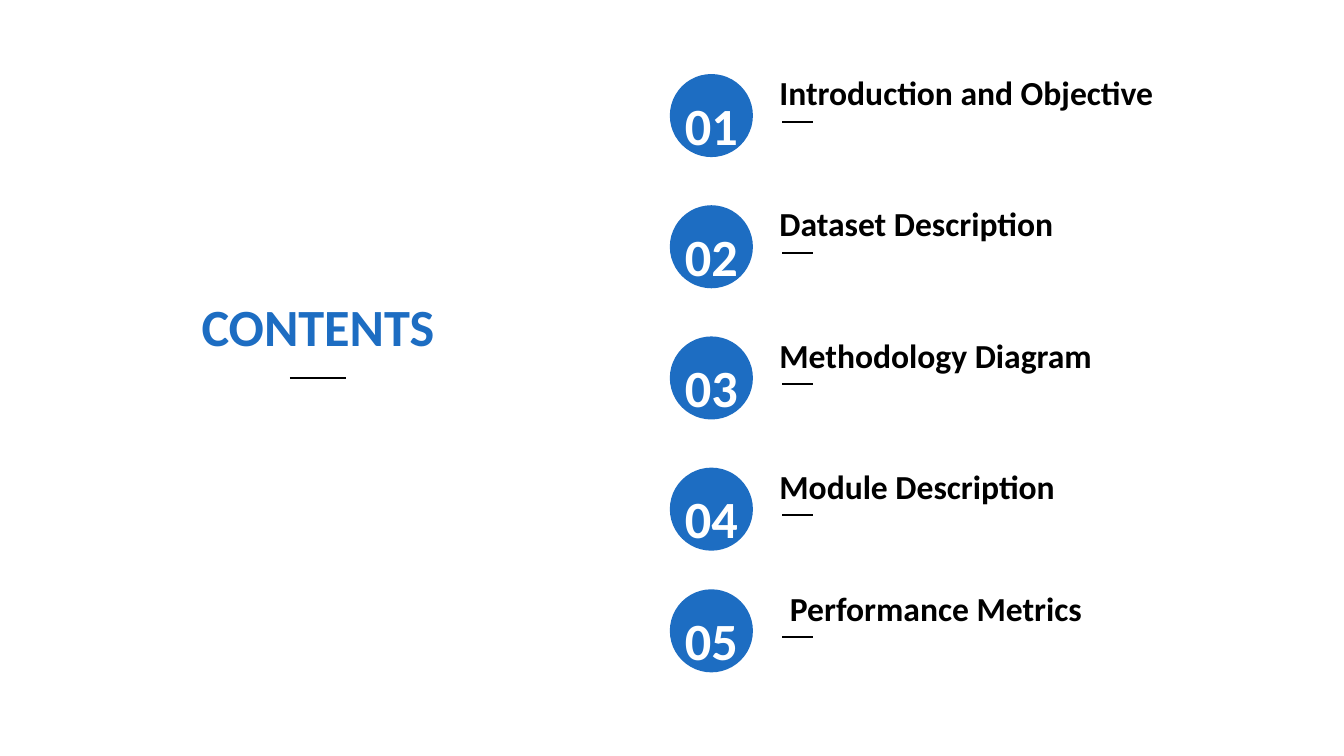
from dataclasses import dataclass

from lxml import etree
from pptx import Presentation
from pptx.dml.color import RGBColor
from pptx.enum import shapes, text
from pptx.oxml import ns
from pptx.util import Cm, Pt


@dataclass(frozen=True)
class Theme:
    font: str = "Calibri"
    accent: RGBColor = RGBColor(0x1D, 0x6D, 0xC2)
    ink: RGBColor = RGBColor(0, 0, 0)
    paper: RGBColor = RGBColor(255, 255, 255)
    large: int = 28
    medium: int = 18
    rule: int = 1


THEME = Theme()
FIRST_TOP = 1.4
ROW_PITCH = 2.48
CIRCLE_LEFT = 12.66
CIRCLE_SIZE = 1.57
LABEL_LEFT = 14.48
LABEL_HEIGHT = 1.02
RULE_LEFT = 14.78
RULE_LENGTH = 0.58
LAST_TOP = 11.14
LAST_INDENT = 0.2

TOPICS = [
    ("Introduction and Objective", 7.6),
    ("Dataset Description", 5.75),
    ("Methodology Diagram", 6.5),
    ("Module Description", 5.8),
    ("Performance Metrics", 6.1),
]


def write(shape, words, size, color, alignment):
    frame = shape.text_frame
    frame.word_wrap = False
    frame.vertical_anchor = text.MSO_ANCHOR.TOP
    paragraph = frame.paragraphs[0]
    paragraph.alignment = alignment
    run = paragraph.add_run()
    run.text = words
    run.font.name = THEME.font
    run.font.size = Pt(size)
    run.font.bold = True
    run.font.color.rgb = color


def add_label(parent, words, left, top, width, height, size, color,
              alignment=text.PP_ALIGN.LEFT):
    label = parent.add_textbox(Cm(left), Cm(top), Cm(width), Cm(height))
    write(label, words, size, color, alignment)
    label.text_frame.auto_size = text.MSO_AUTO_SIZE.SHAPE_TO_FIT_TEXT


def add_rule(parent, left, top, length):
    rule = parent.add_connector(shapes.MSO_CONNECTOR.STRAIGHT,
                                Cm(left), Cm(top), Cm(left + length), Cm(top))
    rule.line.color.rgb = THEME.ink
    rule.line.width = Pt(THEME.rule)
    etree.SubElement(rule._element.spPr, ns.qn("a:effectLst"))


def add_number(parent, words, left, top):
    circle = parent.add_shape(shapes.MSO_SHAPE.OVAL, Cm(left), Cm(top),
                              Cm(CIRCLE_SIZE), Cm(CIRCLE_SIZE))
    circle.shadow.inherit = False
    circle.fill.solid()
    circle.fill.fore_color.rgb = THEME.accent
    circle.line.fill.background()
    write(circle, words, THEME.large, THEME.paper, text.PP_ALIGN.CENTER)


def add_topic(slide, number, title, width, top, indent):
    parent = slide.shapes
    add_label(parent, title, LABEL_LEFT + indent, top - 0.16, width,
              LABEL_HEIGHT, THEME.medium, THEME.ink)
    add_rule(parent, RULE_LEFT, top + 0.9, RULE_LENGTH)
    add_number(parent, f"{number:02}", CIRCLE_LEFT, top)


def add_heading(slide):
    add_label(slide.shapes, "CONTENTS", 3.56, 5.44, 4.9, 1.45,
              THEME.large, THEME.accent, text.PP_ALIGN.CENTER)
    add_rule(slide.shapes, 5.48, 7.14, 1.05)


def main():
    presentation = Presentation()
    presentation.slide_width = Cm(25.4)
    presentation.slide_height = Cm(14.29)
    slide = presentation.slides.add_slide(presentation.slide_layouts[6])
    slide.background.fill.solid()
    slide.background.fill.fore_color.rgb = THEME.paper
    add_heading(slide)
    for index, (title, width) in enumerate(TOPICS):
        last = index == len(TOPICS) - 1
        top = LAST_TOP if last else FIRST_TOP + index * ROW_PITCH
        add_topic(slide, index + 1, title, width, top, LAST_INDENT if last else 0)
    presentation.save("out.pptx")


main()
